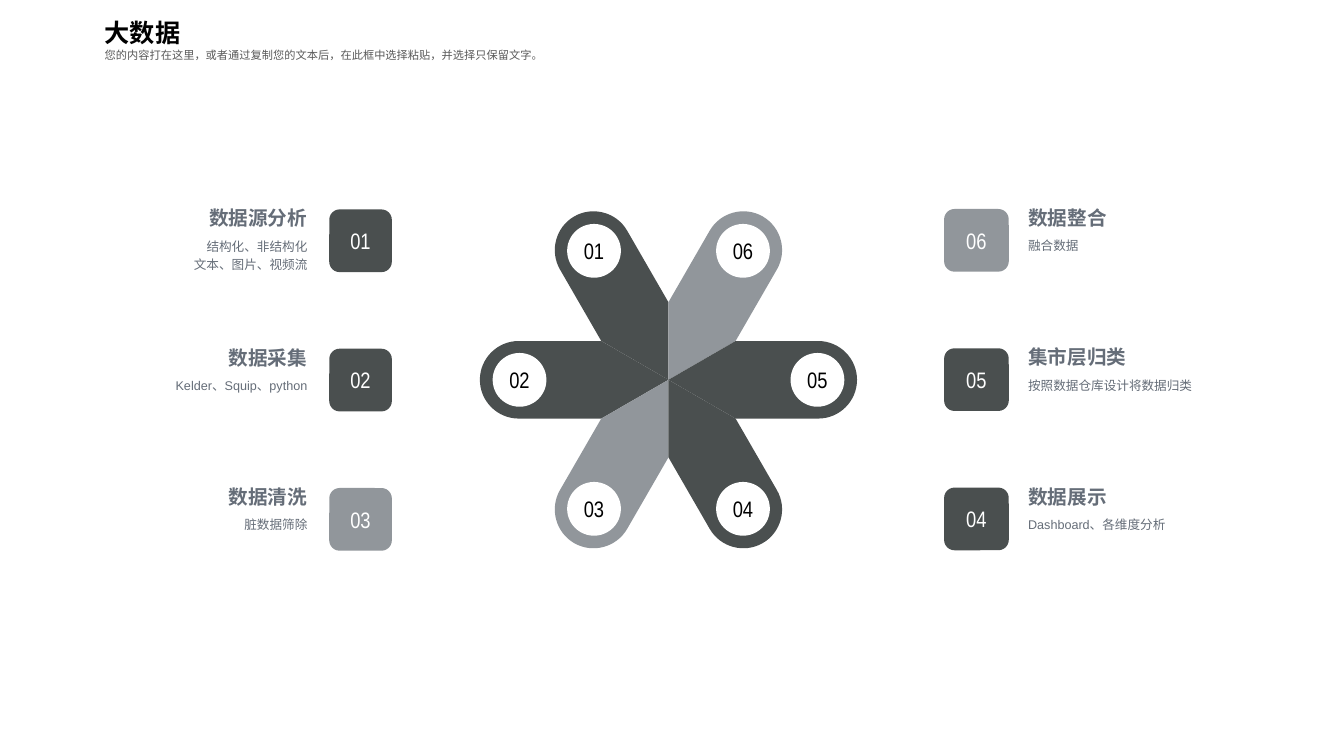
from dataclasses import dataclass
from math import cos, radians, sin, sqrt

from lxml import etree
from pptx import Presentation
from pptx.dml.color import RGBColor
from pptx.enum.shapes import MSO_SHAPE
from pptx.enum.text import MSO_ANCHOR, PP_ALIGN
from pptx.oxml.ns import qn
from pptx.util import Pt

OVAL, ROUNDED = MSO_SHAPE.OVAL, MSO_SHAPE.ROUNDED_RECTANGLE
TOP, MIDDLE = MSO_ANCHOR.TOP, MSO_ANCHOR.MIDDLE
LEFT, CENTER, RIGHT = PP_ALIGN.LEFT, PP_ALIGN.CENTER, PP_ALIGN.RIGHT


@dataclass(frozen=True)
class Theme:
    dark: str = "4A4F4F"
    light: str = "91969B"
    white: str = "FFFFFF"
    black: str = "000000"
    label: str = "656D78"
    subtitle: str = "595959"
    font: str = "Arial"
    number_font: str = "Arial Narrow"
    cjk_font: str = "Noto Sans CJK SC"
    title_size: float = 18
    number_size: float = 16
    heading_size: float = 14
    body_size: float = 9
    subtitle_size: float = 8


T = Theme()

# Content: number, colour, petal angle in degrees, heading, body lines
TITLE = "大数据"
SUBTITLE = "您的内容打在这里，或者通过复制您的文本后，在此框中选择粘贴，并选择只保留文字。"
LEFT_ITEMS = [
    ("01", T.dark, 240, "数据源分析", ["结构化、非结构化", "文本、图片、视频流"]),
    ("02", T.dark, 180, "数据采集", ["Kelder、Squip、python"]),
    ("03", T.light, 120, "数据清洗", ["脏数据筛除"]),
]
RIGHT_ITEMS = [
    ("06", T.light, 300, "数据整合", ["融合数据"]),
    ("05", T.dark, 0, "集市层归类", ["按照数据仓库设计将数据归类"]),
    ("04", T.dark, 60, "数据展示", ["Dashboard、各维度分析"]),
]

# Layout, in points
SLIDE_W, SLIDE_H = 960, 540
CENTER_X, CENTER_Y = 477.5, 271.3
PETAL_R, PETAL_REACH = 27.7, 107
DISC, DISC_REACH = 38.4, 106.4
ROUNDNESS = 0.55  # control arm of a quarter circle, as a share of its radius
ROW_STEP = 99.5
BADGE_H, BADGE_RADIUS = 44.8, 0.166
HEADING_W, HEADING_H = 85, 17.3
HEADING_RISE, BODY_DROP, BODY_H = 2.5, 18.7, 58
# Per side: items, alignment, badge left, badge width, first top, text edge, body width
SIDES = [
    (LEFT_ITEMS, RIGHT, 235.2, 44.7, 149.6, 219.5, 146.2),
    (RIGHT_ITEMS, LEFT, 674.4, 46.2, 149.3, 734.4, 150),
]


def rgb(value):
    return RGBColor.from_string(value)


def write(s, lines, size, color, font, align=LEFT, anchor=MIDDLE, wrap=False,
          bold=False, spacing=None, inset=(0, 0)):
    tf = s.text_frame
    tf.word_wrap, tf.vertical_anchor = wrap, anchor
    tf.margin_left = tf.margin_right = Pt(inset[0])
    tf.margin_top = tf.margin_bottom = Pt(inset[1])
    for i, line in enumerate(lines):
        p = tf.add_paragraph() if i else tf.paragraphs[0]
        p.alignment = align
        if spacing:
            p.line_spacing = spacing
        r = p.add_run()
        r.text = line
        r.font.size, r.font.bold, r.font.name = Pt(size), bold, font
        r.font.color.rgb = rgb(color)
        ea = etree.SubElement(r.font._element, qn("a:ea"))
        ea.set("typeface", T.cjk_font)


def add_text(sp, x, y, w, h, lines, *style, **options):
    write(sp.add_textbox(Pt(x), Pt(y), Pt(w), Pt(h)), lines, *style, **options)


def paint(s, color):
    s.shadow.inherit = False
    s.fill.solid()
    s.fill.fore_color.rgb = rgb(color)
    s.line.fill.background()


def add_number(sp, kind, x, y, w, h, number, fill, color):
    s = sp.add_shape(kind, Pt(x), Pt(y), Pt(w), Pt(h))
    paint(s, fill)
    write(s, [number], T.number_size, color, T.number_font, align=CENTER)
    return s


def add_curve(sp, points):
    """Draw a closed outline: a start, then three points for each Bezier curve."""
    builder = sp.build_freeform(*points[0])
    builder.add_line_segments(points[1:], close=True)
    s = builder.convert_to_shape()
    segments = list(s._element.iter(qn("a:lnTo")))
    for i in range(0, len(segments), 3):
        first, *others = segments[i:i + 3]
        first.tag = qn("a:cubicBezTo")
        for segment in others:
            first.append(segment[0])
            segment.getparent().remove(segment)
    return s


def add_curve_petal(sp, color, turn):
    shoulder, tip = PETAL_R * sqrt(3), PETAL_REACH + PETAL_R
    arm = PETAL_R * ROUNDNESS
    lower, upper = (PETAL_REACH, PETAL_R), (PETAL_REACH, -PETAL_R)
    outline = [(tip, 0), (tip, arm), (PETAL_REACH + arm, PETAL_R), lower]
    for corner in [(shoulder, PETAL_R), (0, 0), (shoulder, -PETAL_R), upper]:
        outline += [corner] * 3
    outline += [(PETAL_REACH + arm, -PETAL_R), (tip, -arm), (tip, 0)]
    points = [tuple(Pt(c) for c in turn(u, v)) for u, v in outline]
    paint(add_curve(sp, points), color)


def add_petal(sp, number, color, angle):
    """Draw a pointed petal with a round tip, turned about the centre, and its disc."""
    a = radians(angle)

    def turn(u, v):
        return (CENTER_X + u * cos(a) - v * sin(a),
                CENTER_Y + u * sin(a) + v * cos(a))

    add_curve_petal(sp, color, turn)
    x, y = turn(DISC_REACH, 0)
    add_number(sp, OVAL, x - DISC / 2, y - DISC / 2, DISC, DISC,
               number, T.white, T.black)


def add_side(sp, items, align, badge_x, badge_w, first_top, edge, body_w):
    shift = 1 if align == RIGHT else 0
    for row, (number, color, _, heading, body) in enumerate(items):
        top = first_top + row * ROW_STEP
        add_text(sp, edge - shift * HEADING_W, top - HEADING_RISE, HEADING_W, HEADING_H,
                 [heading], T.heading_size, T.label, T.font, align=align, bold=True)
        add_text(sp, edge - shift * body_w, top + BODY_DROP, body_w, BODY_H,
                 body, T.body_size, T.label, T.font, align=align, anchor=TOP,
                 wrap=True, spacing=1.2)
        badge = add_number(sp, ROUNDED, badge_x, top, badge_w, BADGE_H,
                           number, color, T.white)
        badge.adjustments[0] = BADGE_RADIUS


def main():
    prs = Presentation()
    prs.slide_width, prs.slide_height = Pt(SLIDE_W), Pt(SLIDE_H)
    sp = prs.slides.add_slide(prs.slide_layouts[6]).shapes
    for number, color, angle, *_ in LEFT_ITEMS + RIGHT_ITEMS:
        add_petal(sp, number, color, angle)
    for side in SIDES:
        add_side(sp, *side)
    header_style = dict(anchor=TOP, wrap=True, inset=(7.2, 3.6))
    add_text(sp, 67.7, 2.2, 256, 35.3, [TITLE], T.title_size, T.black, T.cjk_font,
             bold=True, spacing=1.3, **header_style)
    add_text(sp, 67.7, 26.2, 451, 21.6, [SUBTITLE], T.subtitle_size, T.subtitle,
             T.cjk_font, spacing=1.5, **header_style)
    prs.save("out.pptx")


if __name__ == "__main__":
    main()
